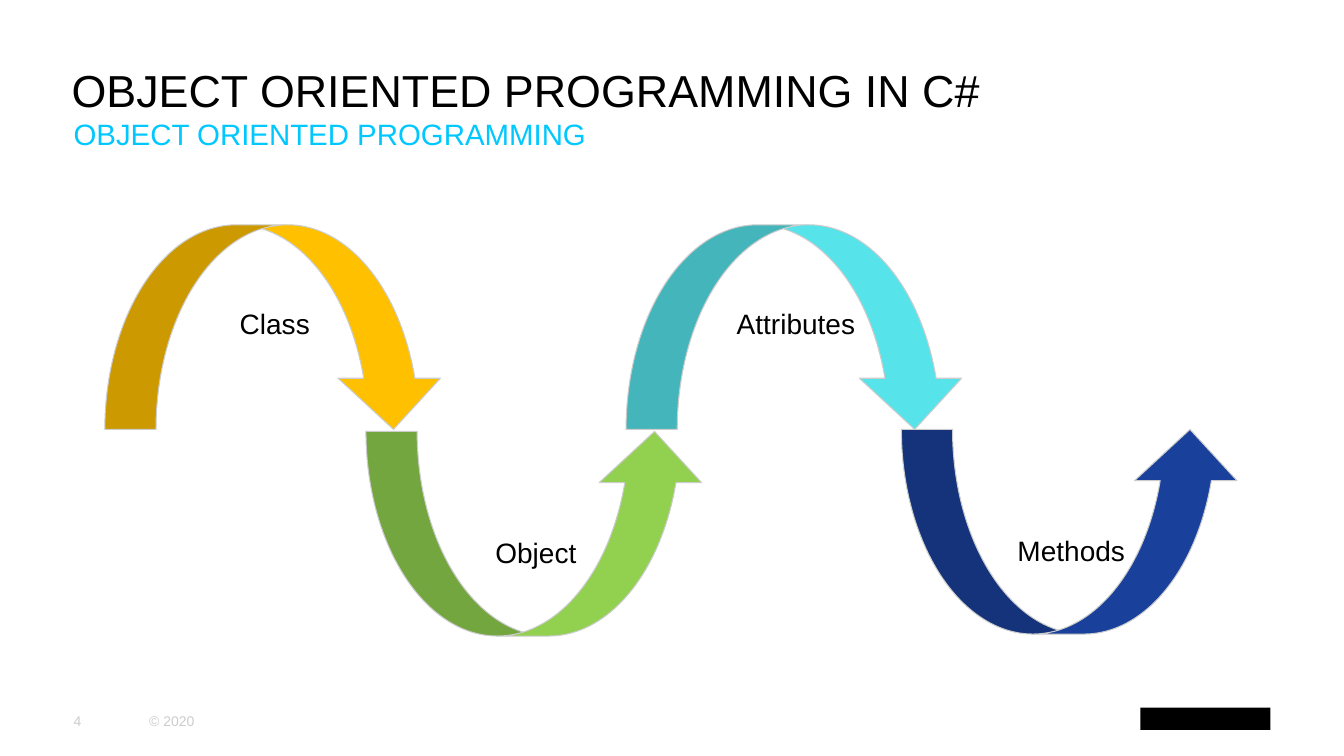
from pptx import Presentation
from pptx.dml.color import RGBColor
from pptx.enum.shapes import MSO_SHAPE
from pptx.enum.text import MSO_ANCHOR, MSO_AUTO_SIZE, PP_ALIGN
from pptx.util import Inches, Pt

LEFT, CENTER = PP_ALIGN.LEFT, PP_ALIGN.CENTER
TOP, MIDDLE, BOTTOM = MSO_ANCHOR.TOP, MSO_ANCHOR.MIDDLE, MSO_ANCHOR.BOTTOM
NO_FIT = MSO_AUTO_SIZE.NONE
ARCH, BOWL = MSO_SHAPE.CURVED_LEFT_ARROW, MSO_SHAPE.CURVED_RIGHT_ARROW
RECT = MSO_SHAPE.RECTANGLE

FONT = "Arial"
BLACK, GREY, CYAN = "000000", "CCCCCC", "00C8FF"
WAVE_W, WAVE_H = 3.37, 2.03
LABEL_W, LABEL_H = 1.12, 0.44
WAVES = [
    ("Class", ARCH, 1.04, 2.23, "FFC000"),
    ("Object", BOWL, 3.63, 4.28, "92D050"),
    ("Attributes", ARCH, 6.21, 2.23, "56E4EA"),
    ("Methods", BOWL, 8.94, 4.26, "19409A"),
]


def color(code):
    """Turn a hex string into a colour."""
    return RGBColor.from_string(code)


def place(shape, x, y, w, h):
    """Move a shape to a box given in inches."""
    shape.left, shape.top = Inches(x), Inches(y)
    shape.width, shape.height = Inches(w), Inches(h)


def write(shape, text, size=20, ink=BLACK, align=LEFT, anchor=TOP, wrap=True, after=0):
    """Set the text of a shape and its format."""
    frame = shape.text_frame
    frame.auto_size = NO_FIT
    frame.word_wrap = wrap
    frame.vertical_anchor = anchor
    frame.margin_left = frame.margin_right = 0
    frame.margin_top = frame.margin_bottom = 0
    para = frame.paragraphs[0]
    para.text = text
    para.alignment = align
    para.space_before, para.space_after = Pt(0), Pt(after)
    font = para.font
    font.name, font.size, font.bold = FONT, Pt(size), False
    font.color.rgb = color(ink)


def label(slide, text, x, y, w, h, **style):
    """Add a text box."""
    box = slide.shapes.add_textbox(Inches(x), Inches(y), Inches(w), Inches(h))
    write(box, text, **style)


def solid(slide, kind, x, y, w, h, fill):
    """Add a filled shape without line or shadow."""
    shape = slide.shapes.add_shape(kind, Inches(x), Inches(y), Inches(w), Inches(h))
    shape.shadow.inherit = False
    shape.fill.solid()
    shape.fill.fore_color.rgb = color(fill)
    shape.line.fill.background()
    return shape


def header(slide, x, y, w):
    """Fill the title and the subtitle below it."""
    title, sub = slide.placeholders
    place(title, x, y, w, 1.15)
    write(title, "OBJECT ORIENTED PROGRAMMING IN C#", size=32, anchor=BOTTOM)
    place(sub, x + 0.02, y + 1.14, w - 0.03, 0.44)
    write(sub, "OBJECT ORIENTED PROGRAMMING", size=21, ink=CYAN, after=12)


def wave(slide, text, kind, x, y, fill):
    """Draw a curved arrow turned on its side, with its label inside."""
    shift = (WAVE_W - WAVE_H) / 2
    arrow = solid(slide, kind, x + shift, y - shift, WAVE_H, WAVE_W, fill)
    arrow.rotation = 270
    arrow.line.color.rgb = color(GREY)
    arrow.line.width = Pt(0.75)
    drop = 0.81 if kind == ARCH else 1.03
    label(slide, text, x + (WAVE_W - LABEL_W) / 2, y + drop, LABEL_W, LABEL_H,
          align=CENTER, wrap=False)


def footer(slide, x, y):
    """Add the page number, the copyright line and a plain mark."""
    style = {"size": 10, "ink": GREY, "anchor": MIDDLE}
    label(slide, "4", x, y, 0.74, 0.4, **style)
    label(slide, "© 2020", x + 0.75, y, 1.08, 0.4, **style)
    solid(slide, RECT, x + 10.58, y + 0.07, 1.29, 0.22, BLACK)


def main():
    """Build and save the slide."""
    deck = Presentation()
    deck.slide_width, deck.slide_height = Inches(13.33), Inches(7.5)
    slide = deck.slides.add_slide(deck.slide_layouts[2])
    header(slide, 0.71, 0.01, 11.9)
    for item in WAVES:
        wave(slide, *item)
    footer(slide, 0.73, 6.95)
    deck.save("out.pptx")


if __name__ == "__main__":
    main()
